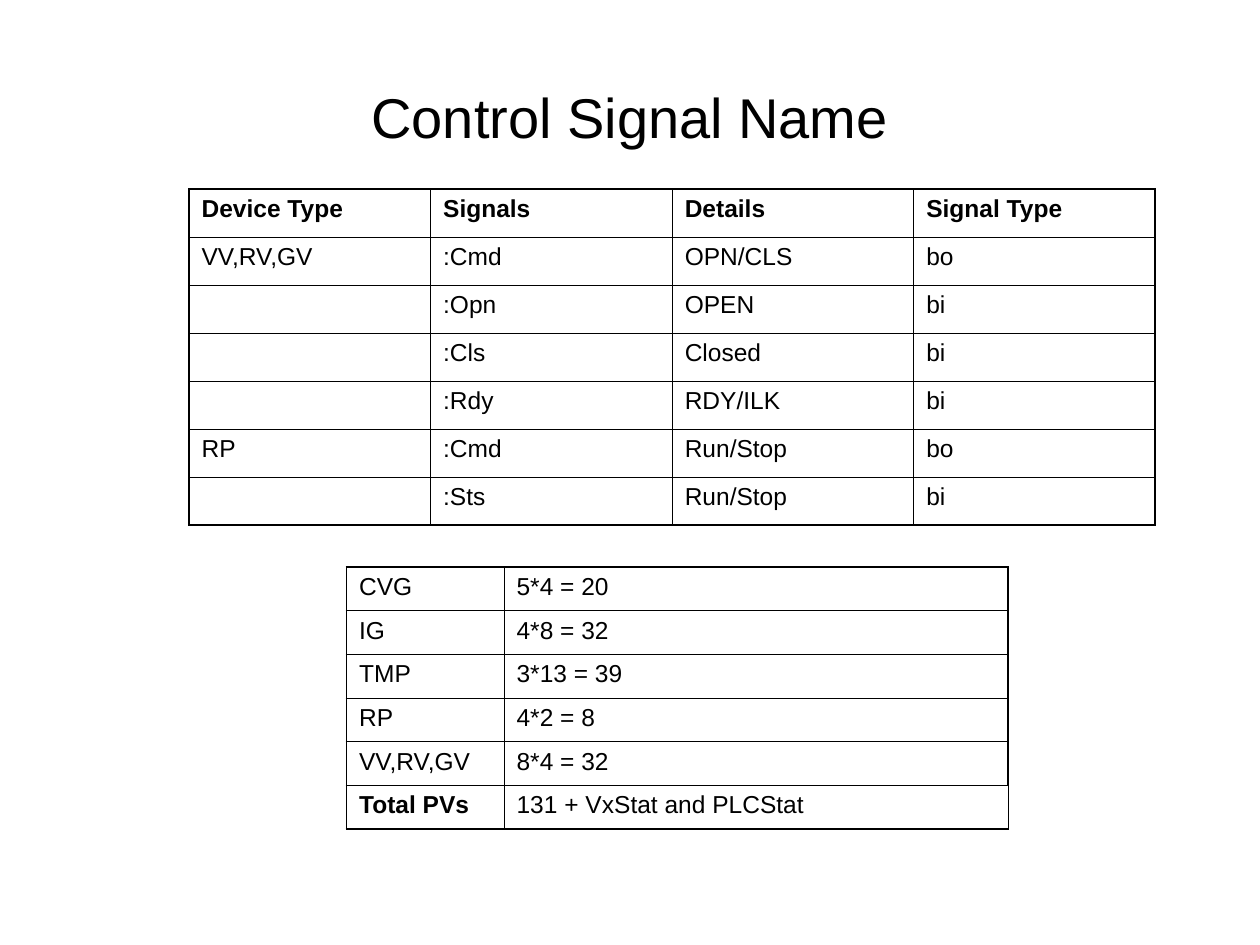
"""Build the Control Signal Name slide with its two tables."""
from lxml.etree import SubElement
from pptx import Presentation
from pptx.dml.color import RGBColor as RGB
from pptx.enum.text import MSO_ANCHOR as ANCHOR, PP_ALIGN as ALIGN
from pptx.oxml.ns import qn
from pptx.util import Inches, Pt

COLORS = {"text": "000000", "border": "000000"}
THIN, THICK = Pt(0.45), Pt(1.08)


def write(tf, text, size=14, bold=False, align=ALIGN.LEFT):
    p = tf.paragraphs[0]
    p.alignment = align
    if text:
        r = p.add_run()
        r.text = text
        r.font.name = "Arial"
        r.font.size = Pt(size)
        r.font.bold = bold
        r.font.color.rgb = RGB.from_string(COLORS["text"])
    else:
        p._p.get_or_add_endParaRPr().set("sz", str(size * 100))


def set_borders(cell, widths):
    tcPr = cell._tc.get_or_add_tcPr()
    for side, width in widths.items():
        ln = SubElement(tcPr, qn(f"a:ln{side}"), w=str(int(width)))
        fill = SubElement(ln, qn("a:solidFill"))
        SubElement(fill, qn("a:srgbClr"), val=COLORS["border"])


prs = Presentation()
prs.slide_width, prs.slide_height = Inches(10), Inches(7.5)
s = prs.slides.add_slide(prs.slide_layouts[6])

title = s.shapes.add_textbox(Inches(0.5), Inches(0.3), Inches(9), Inches(1.25))
tf = title.text_frame
tf.word_wrap = True
tf.vertical_anchor = ANCHOR.MIDDLE
write(tf, "Control Signal Name", size=32, align=ALIGN.CENTER)

signals = [
    ["Device Type", "Signals", "Details", "Signal Type"],
    ["VV,RV,GV", ":Cmd", "OPN/CLS", "bo"],
    ["", ":Opn", "OPEN", "bi"],
    ["", ":Cls", "Closed", "bi"],
    ["", ":Rdy", "RDY/ILK", "bi"],
    ["RP", ":Cmd", "Run/Stop", "bo"],
    ["", ":Sts", "Run/Stop", "bi"],
]
totals = [
    ["CVG", "5*4 = 20"],
    ["IG", "4*8 = 32"],
    ["TMP", "3*13 = 39"],
    ["RP", "4*2 = 8"],
    ["VV,RV,GV", "8*4 = 32"],
    ["Total PVs", "131 + VxStat and PLCStat"],
]
tables = [
    (signals, 1.5, 1.5, 2.67, [7.67 / 4] * 4),
    (totals, 2.75, 4.5, 2.08, [1.25, 4]),
]
bold_texts = signals[0] + ["Total PVs"]

for rows, left, top, height, widths in tables:
    n_rows, n_cols = len(rows), len(widths)
    table = s.shapes.add_table(n_rows, n_cols, Inches(left), Inches(top),
                               Inches(sum(widths)), Inches(height)).table
    table.first_row = table.horz_banding = False
    for col, width in zip(table.columns, widths):
        col.width = Inches(width)
    for i, row in enumerate(rows):
        table.rows[i].height = Inches(height / n_rows)
        for j, text in enumerate(row):
            cell = table.cell(i, j)
            write(cell.text_frame, text, bold=text in bold_texts)
            thin_right = j < n_cols - 1 or text == totals[-1][-1]
            set_borders(cell, {
                "L": THICK if j == 0 else THIN,
                "R": THIN if thin_right else THICK,
                "T": THICK if i == 0 else THIN,
                "B": THICK if i == n_rows - 1 else THIN,
            })
            cell.fill.background()

prs.save("out.pptx")
